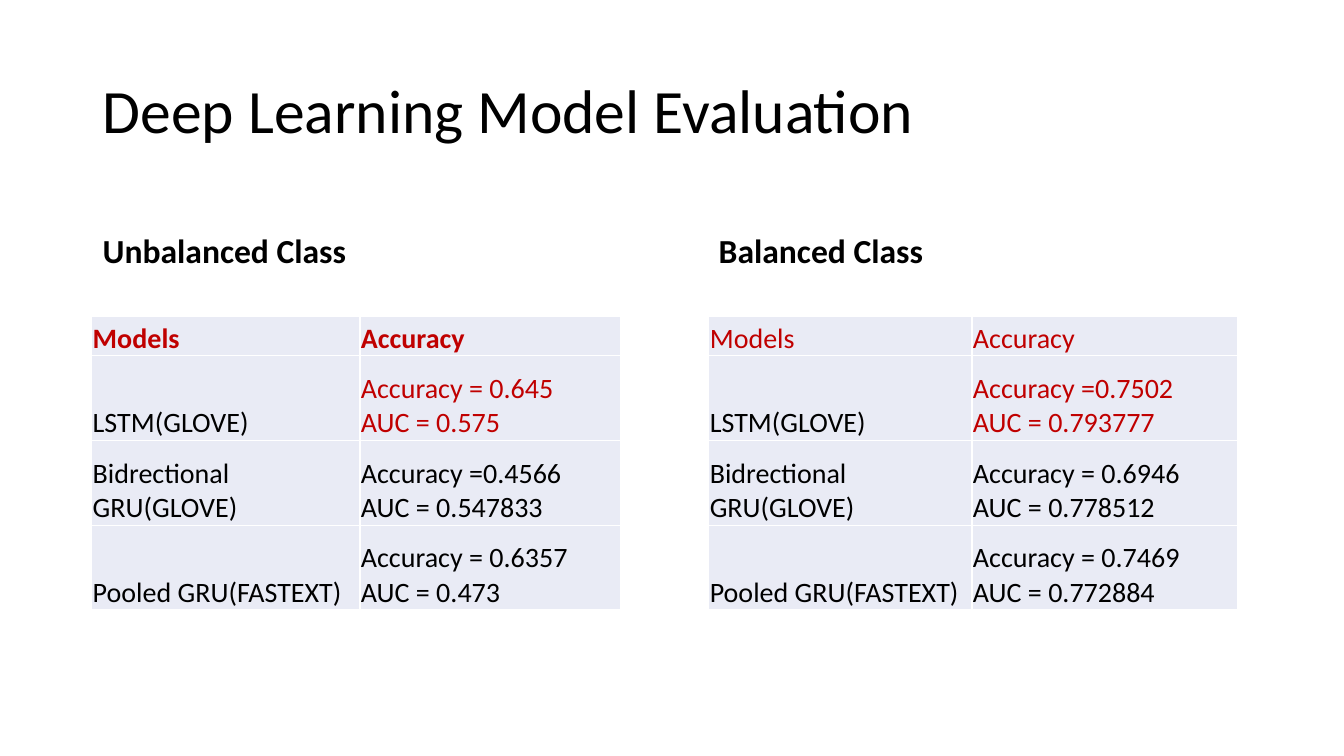
from lxml import etree
from pptx import Presentation
from pptx import util as u
from pptx.dml.color import RGBColor
from pptx.enum import text
from pptx.oxml import ns

COLORS = {"ink": "000000", "accent": "C00000", "cell": "E9EBF5", "rule": "FFFFFF"}
MODELS = ["LSTM(GLOVE)", "Bidrectional GRU(GLOVE)", "Pooled GRU(FASTEXT)"]
ROW_HEIGHTS = [0.39, 0.84, 0.84, 0.84]
CELL_FORMAT = {
    "vertical_anchor": text.MSO_ANCHOR.BOTTOM,
    "margin_left": u.Inches(0.01),
    "margin_right": u.Inches(0.01),
    "margin_top": u.Inches(0.01),
    "margin_bottom": 0,
}
CLASSES = [
    {
        "heading": "Unbalanced Class", "heading_box": (0.92, 1.84, 5.64, 0.9),
        "left": 0.91, "columns": [2.66, 2.59], "bold_header": True,
        "scores": ["Accuracy = 0.645\nAUC = 0.575",
                   "Accuracy =0.4566\nAUC = 0.547833",
                   "Accuracy = 0.6357\nAUC = 0.473"],
    },
    {
        "heading": "Balanced Class", "heading_box": (7.03, 1.84, 5.39, 0.9),
        "left": 7.03, "columns": [2.61, 2.63], "bold_header": False,
        "scores": ["Accuracy =0.7502\nAUC = 0.793777",
                   "Accuracy = 0.6946\nAUC = 0.778512",
                   "Accuracy = 0.7469\nAUC = 0.772884"],
    },
]


def apply(target, values):
    for name, value in values.items():
        setattr(target, name, value)


def write(frame, wording, size, color="ink", bold=False, **spacing):
    paragraph = frame.paragraphs[0]
    paragraph.text = wording.replace("\n", "\v")
    apply(paragraph, {"alignment": text.PP_ALIGN.LEFT, **spacing})
    for run in paragraph.runs:
        apply(run.font, {"name": "Calibri", "size": u.Pt(size), "bold": bold})
        run.font.color.rgb = RGBColor.from_string(COLORS[color])


def add_title(slide, wording):
    title = slide.shapes.title
    box = (0.92, 0.4, 11.5, 1.45)
    apply(title, dict(zip(("left", "top", "width", "height"), map(u.Inches, box))))
    apply(title.text_frame, {"vertical_anchor": text.MSO_ANCHOR.MIDDLE,
                             "auto_size": text.MSO_AUTO_SIZE.NONE})
    write(title.text_frame, wording, 44, line_spacing=0.9)


def add_heading(slide, wording, box):
    heading = slide.shapes.add_textbox(*map(u.Inches, box))
    apply(heading.text_frame, {"word_wrap": True,
                               "vertical_anchor": text.MSO_ANCHOR.BOTTOM})
    write(heading.text_frame, wording, 24, bold=True,
          line_spacing=0.9, space_before=u.Pt(10))


def add_borders(cell):
    properties = cell._tc.get_or_add_tcPr()
    for index, side in enumerate(("lnL", "lnR", "lnT", "lnB")):
        border = etree.Element(ns.qn(f"a:{side}"), w=str(u.Pt(1)))
        fill = etree.SubElement(border, ns.qn("a:solidFill"))
        etree.SubElement(fill, ns.qn("a:srgbClr"), val=COLORS["rule"])
        properties.insert(index, border)


def fill_cell(cell, wording, color, bold):
    apply(cell, CELL_FORMAT)
    cell.fill.solid()
    cell.fill.fore_color.rgb = RGBColor.from_string(COLORS["cell"])
    add_borders(cell)
    write(cell.text_frame, wording, 20, color, bold)


def add_scores(slide, left, columns, scores, bold_header):
    rows = [("Models", "Accuracy"), *zip(MODELS, scores)]
    box = (left, 3.14, sum(columns), sum(ROW_HEIGHTS))
    table = slide.shapes.add_table(len(rows), len(columns), *map(u.Inches, box)).table
    apply(table, {"first_row": False, "horz_banding": False})
    for column, width in zip(table.columns, columns):
        column.width = u.Inches(width)
    for row, height in zip(table.rows, ROW_HEIGHTS):
        row.height = u.Inches(height)
    for r, row in enumerate(rows):
        for c, wording in enumerate(row):
            highlighted = r == 0 or (r, c) == (1, 1)
            fill_cell(table.cell(r, c), wording,
                      "accent" if highlighted else "ink", bold_header and r == 0)


def main():
    deck = Presentation()
    apply(deck, {"slide_width": u.Inches(13.33), "slide_height": u.Inches(7.5)})
    slide = deck.slides.add_slide(deck.slide_layouts[5])
    add_title(slide, "Deep Learning Model Evaluation")
    for group in CLASSES:
        add_heading(slide, group["heading"], group["heading_box"])
        add_scores(slide, group["left"], group["columns"],
                   group["scores"], group["bold_header"])
    deck.save("out.pptx")


if __name__ == "__main__":
    main()
